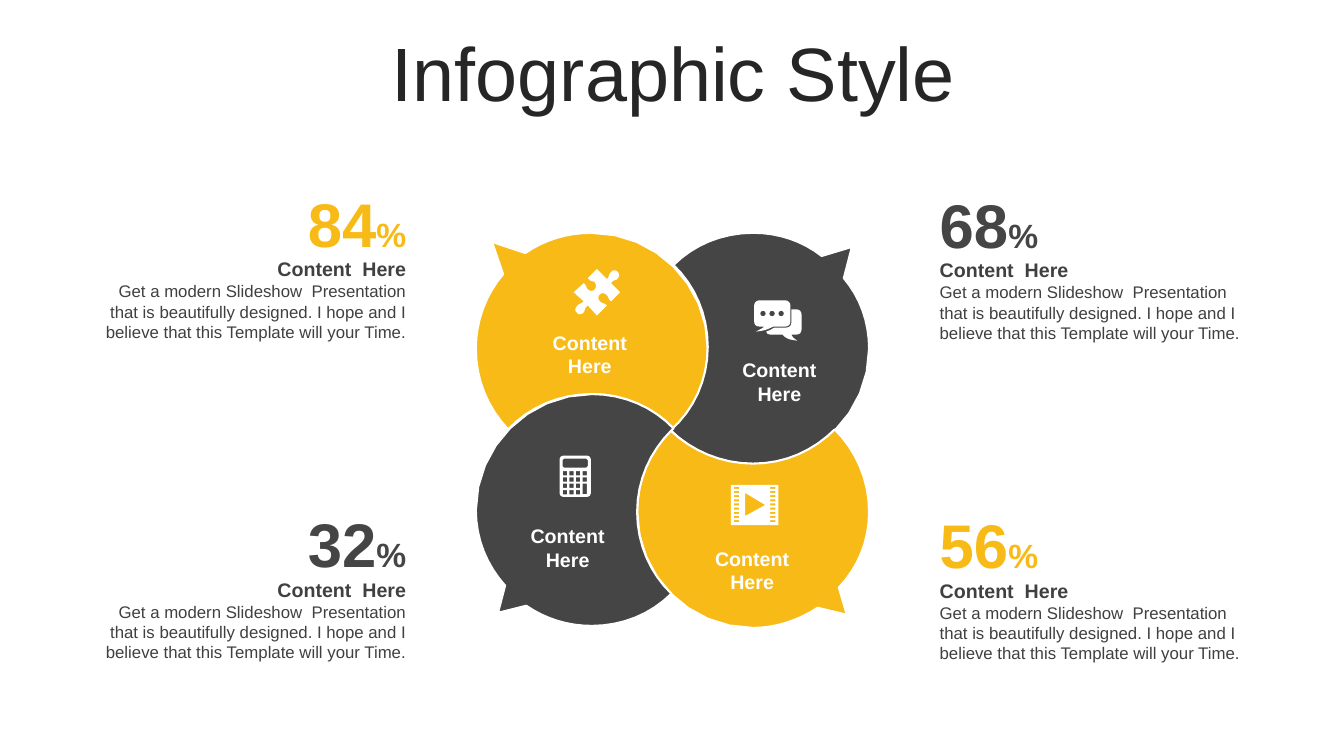
from dataclasses import dataclass
from math import dist

from pptx import Presentation
from pptx.dml.color import RGBColor
from pptx.enum.text import MSO_ANCHOR as Anchor, MSO_AUTO_SIZE as AutoSize, PP_ALIGN as Align
from pptx.slide import Slide
from pptx.text.text import TextFrame
from pptx.util import Emu, Inches, Pt

WIDTH, HEIGHT = Inches(13.33), Inches(7.5)
COLUMNS, ROWS = 1333, 750
FONT = "Arial"
YELLOW, GRAPHITE, WHITE, INK, TITLE_INK = "F8BA16", "454545", "FFFFFF", "404040", "262626"
MOST_CURVE_STEPS = 8
FACT_WIDTH = 300
FACT_TITLE = "Content  Here"
FACT_BODY = ("Get a modern Slideshow  Presentation that is beautifully designed. "
             "I hope and I believe that this Template will your Time.")

Point = tuple[float, float]
Outline = tuple[str, ...]


@dataclass(frozen=True)
class Frame:
    """A rectangle in grid columns and rows."""
    left: float
    top: float
    width: float
    height: float


@dataclass(frozen=True)
class Span:
    """A stretch of text with its size in points."""
    text: str
    size: float


@dataclass(frozen=True)
class Petal:
    """A coloured circle segment with its label and icon."""
    color: str
    outline: Outline
    label_center: float
    label_top: float
    icon: Outline


@dataclass(frozen=True)
class Fact:
    """A percentage with heading and description."""
    number: str
    color: str
    left: float
    top: float
    align: Align


def col(count: float) -> Emu:
    """Turn grid columns into a length."""
    return Emu(round(WIDTH * count / COLUMNS))


def row(count: float) -> Emu:
    """Turn grid rows into a length."""
    return Emu(round(HEIGHT * count / ROWS))


def paint(color: str) -> RGBColor:
    """Turn a hex string into a colour."""
    return RGBColor.from_string(color)


def round_box(left: float, top: float, width: float, height: float, radius: float = 0) -> str:
    """Describe a rectangle, with rounded corners if a radius is given."""
    right, bottom, pull = left + width, top + height, radius * 0.45
    if not radius:
        return f"{left} {top}, {right} {top}, {right} {bottom}, {left} {bottom}"
    return (f"{left + radius} {top}, {right - radius} {top}, "
            f"{right - pull} {top} {right} {top + pull} {right} {top + radius}, "
            f"{right} {bottom - radius}, "
            f"{right} {bottom - pull} {right - pull} {bottom} {right - radius} {bottom}, "
            f"{left + radius} {bottom}, "
            f"{left + pull} {bottom} {left} {bottom - pull} {left} {bottom - radius}, "
            f"{left} {top + radius}, "
            f"{left} {top + pull} {left + pull} {top} {left + radius} {top}")


def trace(contour: str) -> list[Point]:
    """Turn lines (one point) and curves (three points) into vertices."""
    points: list[Point] = []
    for segment in contour.split(","):
        values = [float(value) for value in segment.split()]
        stops = list(zip(values[::2], values[1::2]))
        if len(stops) == 1:
            points += stops
            continue
        steps = max(1, min(MOST_CURVE_STEPS, round(dist(points[-1], stops[-1]) / 2)))
        corners = list(zip(points[-1], *stops))
        for step in range(1, steps + 1):
            t = step / steps
            u = 1 - t
            x, y = (u**3 * a + 3 * u * u * t * b + 3 * u * t * t * c + t**3 * d
                    for a, b, c, d in corners)
            points.append((x, y))
    return points


def add_outline(page: Slide, outline: Outline, color: str, border: float = 0) -> None:
    """Draw closed contours as one filled shape."""
    contours = [[(col(x), row(y)) for x, y in trace(contour)] for contour in outline]
    builder = page.shapes.build_freeform(*contours[0][0])
    for index, (start, *rest) in enumerate(contours):
        if index:
            builder.move_to(*start)
        builder.add_line_segments(rest, close=True)
    shape = builder.convert_to_shape()
    shape.shadow.inherit = False
    shape.fill.solid()
    shape.fill.fore_color.rgb = paint(color)
    if border:
        shape.line.color.rgb = paint(WHITE)
        shape.line.width = Pt(border)
    else:
        shape.line.fill.background()


def fill_text(frame: TextFrame, lines: list[list[Span]], color: str, align: Align,
              bold: bool = False, anchor: Anchor = Anchor.MIDDLE) -> None:
    """Write and format the paragraphs of a text frame."""
    frame.word_wrap = True
    frame.auto_size = AutoSize.NONE
    frame.vertical_anchor = anchor
    frame.margin_left = frame.margin_right = frame.margin_top = frame.margin_bottom = 0
    for index, spans in enumerate(lines):
        para = frame.add_paragraph() if index else frame.paragraphs[0]
        para.alignment = align
        para.font.name = FONT
        para.font.bold = bold
        para.font.color.rgb = paint(color)
        para.font.size = Pt(spans[0].size)
        for span in spans:
            run = para.add_run()
            run.text = span.text
            if span.size != spans[0].size:
                run.font.size = Pt(span.size)


def add_text(page: Slide, place: Frame, lines: list[list[Span]], color: str, align: Align,
             bold: bool = False, anchor: Anchor = Anchor.MIDDLE) -> None:
    """Add a text box in the given place."""
    box = page.shapes.add_textbox(col(place.left), row(place.top), col(place.width), row(place.height))
    fill_text(box.text_frame, lines, color, align, bold, anchor)


def add_title(page: Slide, text: str) -> None:
    """Place and format the slide title."""
    title = page.shapes.title
    title.left, title.top, title.width, title.height = col(35), row(37), col(1266), row(79)
    fill_text(title.text_frame, [[Span(text, 54)]], TITLE_INK, Align.CENTER)
    title.text_frame.paragraphs[0].line_spacing = 0.9


def add_fact(page: Slide, fact: Fact) -> None:
    """Draw a percentage above its heading and description."""
    add_text(page, Frame(fact.left, fact.top, FACT_WIDTH, 74),
             [[Span(fact.number, 44), Span("%", 24)]], fact.color, fact.align, True)
    add_text(page, Frame(fact.left, fact.top + 66, FACT_WIDTH, 34),
             [[Span(FACT_TITLE, 14)]], INK, fact.align, True)
    add_text(page, Frame(fact.left, fact.top + 95, FACT_WIDTH, 66),
             [[Span(FACT_BODY, 12)]], INK, fact.align, anchor=Anchor.TOP)


def add_petal_content(page: Slide, petal: Petal) -> None:
    """Draw the label and icon of a petal."""
    add_text(page, Frame(petal.label_center - 76, petal.label_top, 152, 57),
             [[Span("Content", 14)], [Span("Here", 14)]], WHITE, Align.CENTER, True)
    add_outline(page, petal.icon, WHITE)


PUZZLE = ("613 270, 614 271 615 274 613 276, 611 279 608 277 606 281, 615 290, 606 299, "
          "603 297 604 294 601 292, 599 290 596 291 595 292, 593 294 593 297 595 299, "
          "598 302 599 300 602 303, 592 313, 583 303, 579 306 581 307 579 310, "
          "576 313 573 312 572 310, 570 309 570 306 572 304, 574 301 576 302 579 299, "
          "569 290, 579 281, 582 283 581 286 584 288, 586 289 589 289 590 287, "
          "591 286 592 283 590 280, 587 278 586 280 583 276, 592 267, 602 277, "
          "605 274 603 273 606 270, 608 267 611 268 613 270",)
CHAT = ("785 307, 790 307, 793 307 795 309 795 312, 795 327, 795 330 793 332 790 332, 785 332, "
        "786 334 786 335 791 338, 782 337 780 336 776 332, 764 332, 762 332 760 331 760 329, "
        "763 328 765 327 768 325, 780 325, 783 325 785 323 785 320",
        "753 298, 779 298, 782 298 784 301 784 303, 784 319, 784 322 782 324 779 324, 767 324, "
        "761 327 759 328 750 329, 755 326 756 326 758 324, 753 324, 750 324 748 322 748 319, "
        "748 303, 748 301 750 298 753 298",
        *(round_box(754 + 9 * dot, 308.3, 5.6, 5.6, 2.8) for dot in range(3)))
FILM = (round_box(725, 481, 47, 40), "739 489, 739 512, 759 501",
        *(round_box(left, 483 + 4.13 * hole, 5, 2) for left in (728, 764) for hole in range(9)))
CALCULATOR = (round_box(555, 452, 31, 41, 3.5), round_box(558, 455, 25, 9, 1.5),
              *(round_box(558.2 + 6.55 * x, 467.3 + 6.3 * y, 4.2, 10.4 if (x, y) == (3, 2) else 4.2)
                for x in range(4) for y in range(4) if (x, y) != (3, 3)))
PETALS = (
    Petal(YELLOW, ("587 231, 650 231 702 282 702 346, 702 377 689 405 669 426, 648 404 619 391 587 391, "
                   "554 391 525 404 504 426, 484 405 472 377 472 346, 472 318 482 292 499 272, "
                   "488 240, 521 251, 540 238 562 231 587 231",), 585, 323, PUZZLE),
    Petal(GRAPHITE, ("747 231, 772 231 796 239 815 254, 845 245, 837 276, 853 295 862 319 862 346, "
                     "862 409 810 461 747 461, 715 461 686 448 665 427, 688 407 702 377 702 344, "
                     "702 312 689 283 668 263, 688 243 716 231 747 231",), 773, 350, CHAT),
    Petal(YELLOW, ("828 426, 849 447 862 476 862 508, 862 537 851 563 832 583, 840 610, 811 603, "
                   "793 615 770 623 747 623, 683 623 632 571 632 508, 632 476 644 447 665 427, "
                   "686 447 715 460 747 460, 779 460 807 447 828 426",), 746, 537, FILM),
    Petal(GRAPHITE, ("587 391, 619 391 648 404 668 425, 666 427, 645 448 632 476 632 508, "
                     "632 540 645 569 666 589, 646 609 618 621 587 621, 563 621 541 614 522 601, "
                     "494 608, 501 581, 483 561 472 535 472 506, 472 443 524 391 587 391",),
          563, 515, CALCULATOR),
)
FACTS = (Fact("68", GRAPHITE, 932, 185, Align.LEFT), Fact("56", YELLOW, 932, 503, Align.LEFT),
         Fact("84", YELLOW, 103, 184, Align.RIGHT), Fact("32", GRAPHITE, 103, 502, Align.RIGHT))


def main() -> None:
    """Build the slide and save it."""
    deck = Presentation()
    deck.slide_width, deck.slide_height = WIDTH, HEIGHT
    page = deck.slides.add_slide(deck.slide_layouts[5])
    add_title(page, "Infographic Style")
    for petal in PETALS:
        add_outline(page, petal.outline, petal.color, 1.5)
    for petal in PETALS:
        add_petal_content(page, petal)
    for fact in FACTS:
        add_fact(page, fact)
    deck.save("out.pptx")


if __name__ == "__main__":
    main()
